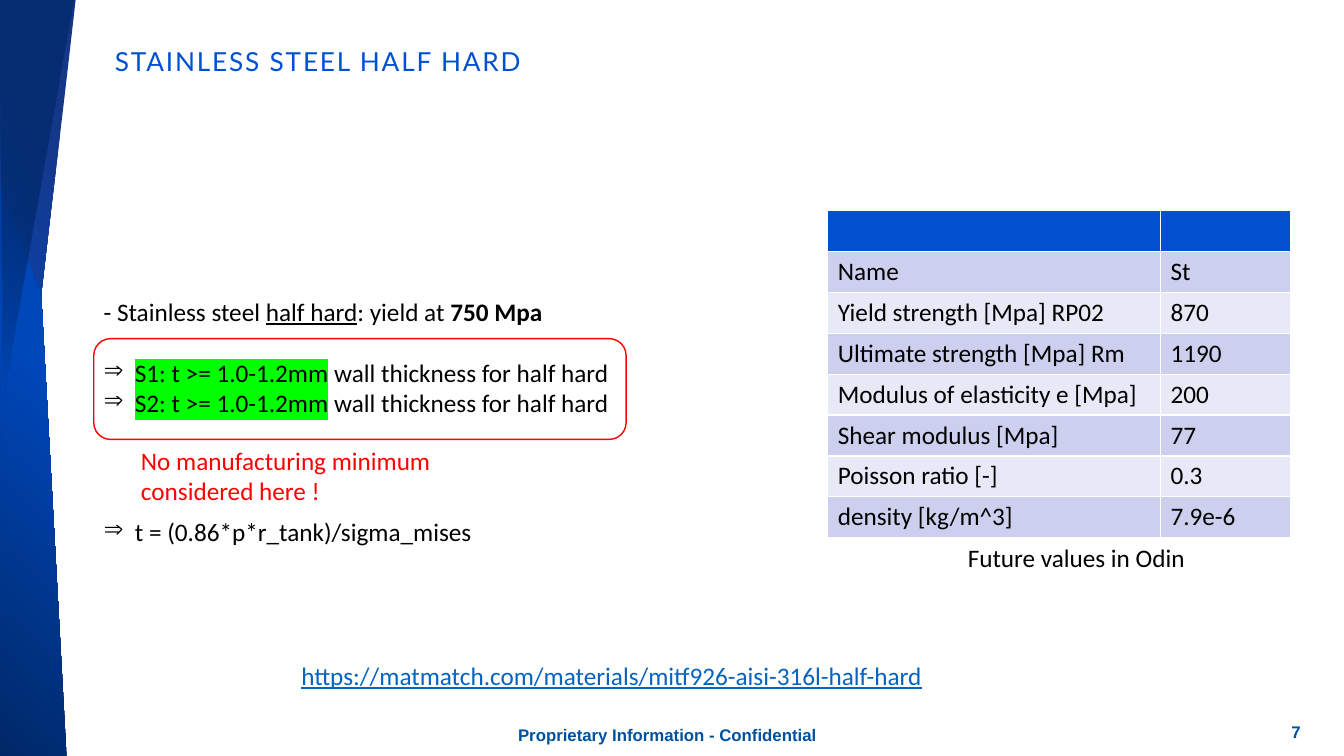
from dataclasses import dataclass

from lxml import etree
from pptx import Presentation
from pptx.dml.color import RGBColor
from pptx.enum.shapes import MSO_SHAPE
from pptx.enum.text import MSO_ANCHOR, MSO_AUTO_SIZE, PP_ALIGN
from pptx.oxml.ns import qn
from pptx.util import Inches, Pt

LEFT, CENTER, RIGHT = PP_ALIGN.LEFT, PP_ALIGN.CENTER, PP_ALIGN.RIGHT
MIDDLE = MSO_ANCHOR.MIDDLE
FIT_SHAPE, NO_FIT = MSO_AUTO_SIZE.SHAPE_TO_FIT_TEXT, MSO_AUTO_SIZE.NONE
ROUNDED = MSO_SHAPE.ROUNDED_RECTANGLE

BLACK = RGBColor(0x00, 0x00, 0x00)
RED = RGBColor(0xFF, 0x00, 0x00)
GREEN = RGBColor(0x00, 0xFF, 0x00)
BLUE = RGBColor(0x00, 0x50, 0xD0)
FOOTER_BLUE = RGBColor(0x00, 0x51, 0x9D)
LINK_BLUE = RGBColor(0x05, 0x63, 0xC1)
INDIGO = RGBColor(0x15, 0x37, 0x88)
ROYAL = RGBColor(0x00, 0x47, 0xB9)
NAVY = RGBColor(0x00, 0x28, 0x68)
DARK_BAND = RGBColor(0xCC, 0xD0, 0xEE)
LIGHT_BAND = RGBColor(0xE7, 0xE9, 0xF7)

BODY = {"name": "Calibri", "size": Pt(18), "color": BLACK}
FOOTER = {"name": "Arial", "size": Pt(12), "color": FOOTER_BLUE, "bold": True}
HEADING = {"name": "Lato", "size": Pt(18.7), "color": BLUE, "bold": False}


@dataclass
class Span:
    text: str
    style: dict
    highlight: RGBColor | None = None


@dataclass
class Line:
    spans: list[Span]
    bullet: bool = False
    before: float = 0
    align: int = LEFT


@dataclass
class TextArea:
    place: tuple[float, float, float, float]
    lines: list[Line]
    wrap: bool = True
    inset: bool = True


@dataclass
class Stop:
    percent: int
    color: RGBColor
    alpha: int = 100


@dataclass
class Facet:
    points: list[tuple[float, float]]
    stops: list[Stop]
    angle: float


def curve(start: tuple, first: tuple, second: tuple, end: tuple, steps: int = 24) -> list:
    weights = [((1 - t) ** 3, 3 * t * (1 - t) ** 2, 3 * t * t * (1 - t), t ** 3)
               for t in (step / steps for step in range(steps + 1))]
    corners = (start, first, second, end)
    return [tuple(sum(w * corner[axis] for w, corner in zip(weight, corners)) for axis in (0, 1))
            for weight in weights]


FACETS = [
    Facet(curve((0.75, 0), (0.5, 2.23), (0.43, 2.52), (0.01, 6.71)) + [(0, 0)],
          [Stop(18, INDIGO), Stop(100, BLUE)], 150),
    Facet([(0.03, 2.78), (0.33, 4.23), (0.05, 6.65)],
          [Stop(0, ROYAL), Stop(100, NAVY, 47)], 0),
    Facet([(0.01, 1.87), (0.41, 2.94), (0.66, 7.5), (0, 7.5)],
          [Stop(0, NAVY), Stop(68, ROYAL)], 310),
    Facet([(0.04, 3.93), (0, 0), (0.73, 0)],
          [Stop(0, ROYAL), Stop(46, NAVY, 71)], 282.7),
]


def thickness(case: str, before: float = 0) -> Line:
    return Line([Span(f"{case}: t >= 1.0-1.2mm", BODY, GREEN),
                 Span(" wall thickness for half hard", BODY)], True, before)


TEXT_AREAS = [
    TextArea((12.35, 7.16, 0.55, 0.15), [Line([Span("7", FOOTER)], align=RIGHT)], inset=False),
    TextArea((0.89, 7.14, 11.46, 0.3),
             [Line([Span("Proprietary Information - Confidential", FOOTER)], align=CENTER)]),
    TextArea((0.93, 2.89, 7.13, 1.31), [
        Line([Span("- Stainless steel ", BODY), Span("half hard", BODY | {"underline": True}),
              Span(": yield at ", BODY), Span("750 Mpa", BODY | {"bold": True})]),
        thickness("S1", 22), thickness("S2")]),
    TextArea((9.5, 5.33, 2.75, 0.4), [Line([Span("Future values in Odin", BODY)])]),
    TextArea((0.93, 5.07, 3.89, 0.4),
             [Line([Span("t = (0.86*p*r_tank)/sigma_mises", BODY)], True)], wrap=False),
    TextArea((2.89, 6.5, 6.44, 0.4),
             [Line([Span("https://matmatch.com/materials/mitf926-aisi-316l-half-hard",
                         BODY | {"color": LINK_BLUE, "underline": True})])], wrap=False),
    TextArea((1.3, 4.37, 3.42, 0.71),
             [Line([Span("No manufacturing minimum considered here !", BODY | {"color": RED})])]),
]

PROPERTIES = [
    ("", ""),
    ("Name", "St"),
    ("Yield strength [Mpa] RP02", "870"),
    ("Ultimate strength [Mpa] Rm", "1190"),
    ("Modulus of elasticity e [Mpa]", "200"),
    ("Shear modulus [Mpa]", "77"),
    ("Poisson ratio [-]", "0.3"),
    ("density [kg/m^3]", "7.9e-6"),
]
COLUMN_WIDTHS = (3.3, 1.29)
TABLE_HEIGHT = 3.24


def inches(values: tuple) -> list:
    return [Inches(value) for value in values]


def format_font(font, style: dict) -> None:
    for key, value in style.items():
        if key == "color":
            font.color.rgb = value
        else:
            setattr(font, key, value)


def add_color(parent, color: RGBColor):
    return etree.SubElement(parent, qn("a:srgbClr"), val=str(color))


def write_line(para, line: Line) -> None:
    if line.bullet:
        properties = para._p.get_or_add_pPr()
        properties.set("marL", str(Inches(0.31)))
        properties.set("indent", str(-Inches(0.31)))
        etree.SubElement(properties, qn("a:buChar"), char="⇒")
    para.alignment = line.align
    if line.before:
        para.space_before = Pt(line.before)
    for span in line.spans:
        run = para.add_run()
        run.text = span.text
        format_font(run.font, span.style)
        if span.highlight is not None:
            mark = etree.Element(qn("a:highlight"))
            add_color(mark, span.highlight)
            run._r.rPr.find(qn("a:latin")).addprevious(mark)


def draw_text(page, area: TextArea) -> None:
    frame = page.shapes.add_textbox(*inches(area.place)).text_frame
    frame.word_wrap = area.wrap
    frame.auto_size = FIT_SHAPE if area.inset else NO_FIT
    if not area.inset:
        for side in ("left", "top", "right", "bottom"):
            setattr(frame, f"margin_{side}", 0)
    for index, line in enumerate(area.lines):
        write_line(frame.add_paragraph() if index else frame.paragraphs[0], line)


def draw_facet(page, facet: Facet) -> None:
    start, *others = [inches(point) for point in facet.points]
    builder = page.shapes.build_freeform(*start)
    builder.add_line_segments(others, close=True)
    shape = builder.convert_to_shape()
    shape.shadow.inherit = False
    shape.line.fill.background()
    gradient = etree.Element(qn("a:gradFill"), rotWithShape="1")
    stops = etree.SubElement(gradient, qn("a:gsLst"))
    for stop in facet.stops:
        entry = etree.SubElement(stops, qn("a:gs"), pos=str(stop.percent * 1000))
        color = add_color(entry, stop.color)
        if stop.alpha < 100:
            etree.SubElement(color, qn("a:alpha"), val=str(stop.alpha * 1000))
    etree.SubElement(gradient, qn("a:lin"), ang=str(round(facet.angle * 60000)), scaled="0")
    shape._element.spPr.find(qn("a:custGeom")).addnext(gradient)


def draw_title(page) -> None:
    title = page.shapes.title
    title.left, title.top, title.width, title.height = inches((1.04, 0.42, 7.36, 0.41))
    frame = title.text_frame
    frame.auto_size, frame.vertical_anchor, frame.word_wrap = NO_FIT, MIDDLE, True
    para = frame.paragraphs[0]
    write_line(para, Line([Span("STAINLESS STEEL HALF HARD", HEADING)]))
    para.line_spacing = 0.9
    para.runs[0]._r.rPr.set("spc", "130")


def draw_table(page) -> None:
    place = (8.21, 2.09, sum(COLUMN_WIDTHS), TABLE_HEIGHT)
    table = page.shapes.add_table(len(PROPERTIES), len(COLUMN_WIDTHS), *inches(place)).table
    for column, width in zip(table.columns, COLUMN_WIDTHS):
        column.width = Inches(width)
    for index, values in enumerate(PROPERTIES):
        band = DARK_BAND if index % 2 else LIGHT_BAND
        for cell, value in zip(table.rows[index].cells, values):
            cell.fill.solid()
            cell.fill.fore_color.rgb = band if index else BLUE
            if value:
                write_line(cell.text_frame.paragraphs[0], Line([Span(value, BODY)]))


def draw_frame(page) -> None:
    frame = page.shapes.add_shape(ROUNDED, *inches((0.93, 3.36, 5.28, 1)))
    frame.shadow.inherit = False
    frame.fill.background()
    frame.line.color.rgb = RED
    frame.line.width = Pt(1)


def main() -> None:
    deck = Presentation()
    deck.slide_width, deck.slide_height = inches((13.33, 7.5))
    page = deck.slides.add_slide(deck.slide_layouts[5])
    for facet in FACETS:
        draw_facet(page, facet)
    draw_title(page)
    draw_table(page)
    draw_frame(page)
    for area in TEXT_AREAS:
        draw_text(page, area)
    deck.save("out.pptx")


if __name__ == "__main__":
    main()
